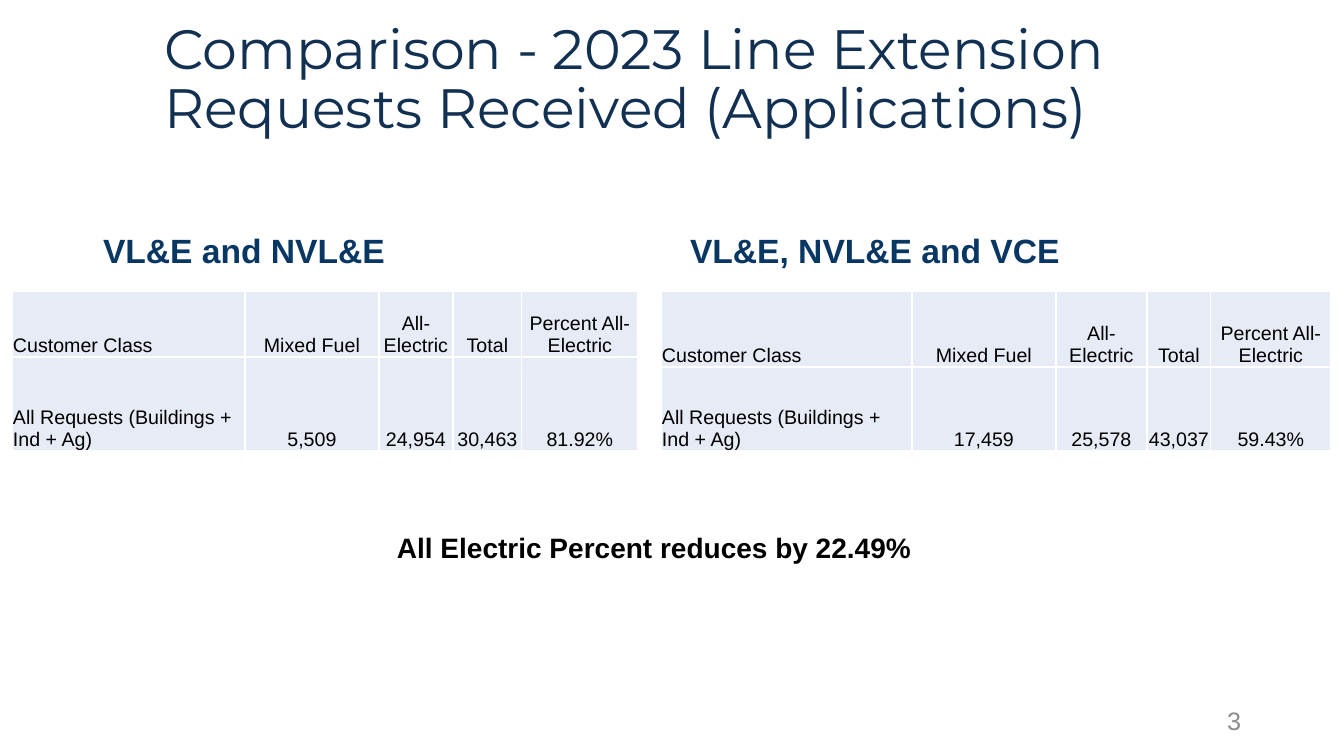
from pptx import Presentation
from pptx.dml.color import RGBColor
from pptx.enum.text import MSO_ANCHOR, MSO_AUTO_SIZE, PP_ALIGN
from pptx.oxml import parse_xml
from pptx.oxml.ns import nsdecls
from pptx.util import Emu, Pt

PX = 914400 / 100.8
NAVY = RGBColor(0x11, 0x30, 0x52)
BLUE = RGBColor(0x08, 0x37, 0x63)
BLACK = RGBColor(0x00, 0x00, 0x00)
GREY = RGBColor(0x8C, 0x8C, 0x8C)
CELL = RGBColor(0xE7, 0xEB, 0xF5)


def px(n):
    return Emu(round(n * PX))


def write(s, box, text, size, color, font="Arial", bold=False,
          align=PP_ALIGN.LEFT, anchor=MSO_ANCHOR.MIDDLE, spacing=None):
    s.left, s.top, s.width, s.height = [px(n) for n in box]
    tf = s.text_frame
    tf.word_wrap = True
    tf.auto_size = MSO_AUTO_SIZE.NONE
    tf.vertical_anchor = anchor
    p = tf.paragraphs[0]
    p.alignment, p.line_spacing, p.space_before = align, spacing, Pt(0)
    r = p.add_run()
    r.text = text
    r.font.name, r.font.size, r.font.bold = font, Pt(size), bold
    r.font.color.rgb = color


prs = Presentation()
prs.slide_width, prs.slide_height = px(1344), px(756)
slide = prs.slides.add_slide(prs.slide_layouts[4])
holders = {s.placeholder_format.idx: s for s in slide.placeholders}

# Title
write(holders[0], (154, 27, 1135, 108),
      "Comparison - 2023 Line Extension Requests Received (Applications)",
      39.6, NAVY, font="Montserrat", spacing=0.9)

# Headings and their tables
header = ["Customer Class", "Mixed Fuel", "All-Electric", "Total",
          "Percent All-Electric"]
row_name = "All Requests (Buildings + Ind + Ag)"
groups = [
    (1, "VL&E and NVL&E", 93, 12, [233, 134, 74, 69, 116], [66, 94],
     ["5,509", "24,954", "30,463", "81.92%"]),
    (3, "VL&E, NVL&E and VCE", 680, 661, [251, 144, 91, 64, 120], [76, 84],
     ["17,459", "25,578", "43,037", "59.43%"]),
]
for idx, heading, text_left, left, widths, heights, values in groups:
    write(holders[idx], (text_left, 185, 570, 91), heading, 24, BLUE,
          bold=True, anchor=MSO_ANCHOR.BOTTOM, spacing=0.9)

    table = slide.shapes.add_table(2, 5, px(left), px(291), px(sum(widths)),
                                   px(sum(heights))).table
    for col, width in zip(table.columns, widths):
        col.width = px(width)
    for row, height in zip(table.rows, heights):
        row.height = px(height)
    for i, texts in enumerate([header, [row_name] + values]):
        for j, text in enumerate(texts):
            cell = table.cell(i, j)
            cell.margin_left = cell.margin_right = cell.margin_top = px(1)
            cell.margin_bottom = 0
            cell.vertical_anchor = MSO_ANCHOR.BOTTOM
            p = cell.text_frame.paragraphs[0]
            p.alignment = PP_ALIGN.CENTER if j else PP_ALIGN.LEFT
            r = p.add_run()
            r.text = text
            r.font.name, r.font.size, r.font.bold = "Arial", Pt(14), False
            r.font.color.rgb = BLACK
            # White borders go before the fill
            tc_pr = cell._tc.get_or_add_tcPr()
            for side in ("lnL", "lnR", "lnT", "lnB"):
                tc_pr.append(parse_xml(
                    f'<a:{side} {nsdecls("a")} w="12700"><a:solidFill>'
                    f'<a:srgbClr val="FFFFFF"/></a:solidFill></a:{side}>'))
            cell.fill.solid()
            cell.fill.fore_color.rgb = CELL

# Unused content placeholders
for idx in (2, 4):
    sp = holders[idx].element
    sp.getparent().remove(sp)

# Conclusion and page number
write(slide.shapes.add_textbox(0, 0, 0, 0), (387, 526, 587, 44),
      "All Electric Percent reduces by 22.49%", 20, BLACK, bold=True,
      anchor=MSO_ANCHOR.TOP)
write(slide.shapes.add_textbox(0, 0, 0, 0), (949, 700, 302, 40),
      "3", 18, GREY, align=PP_ALIGN.RIGHT)

prs.save("out.pptx")
